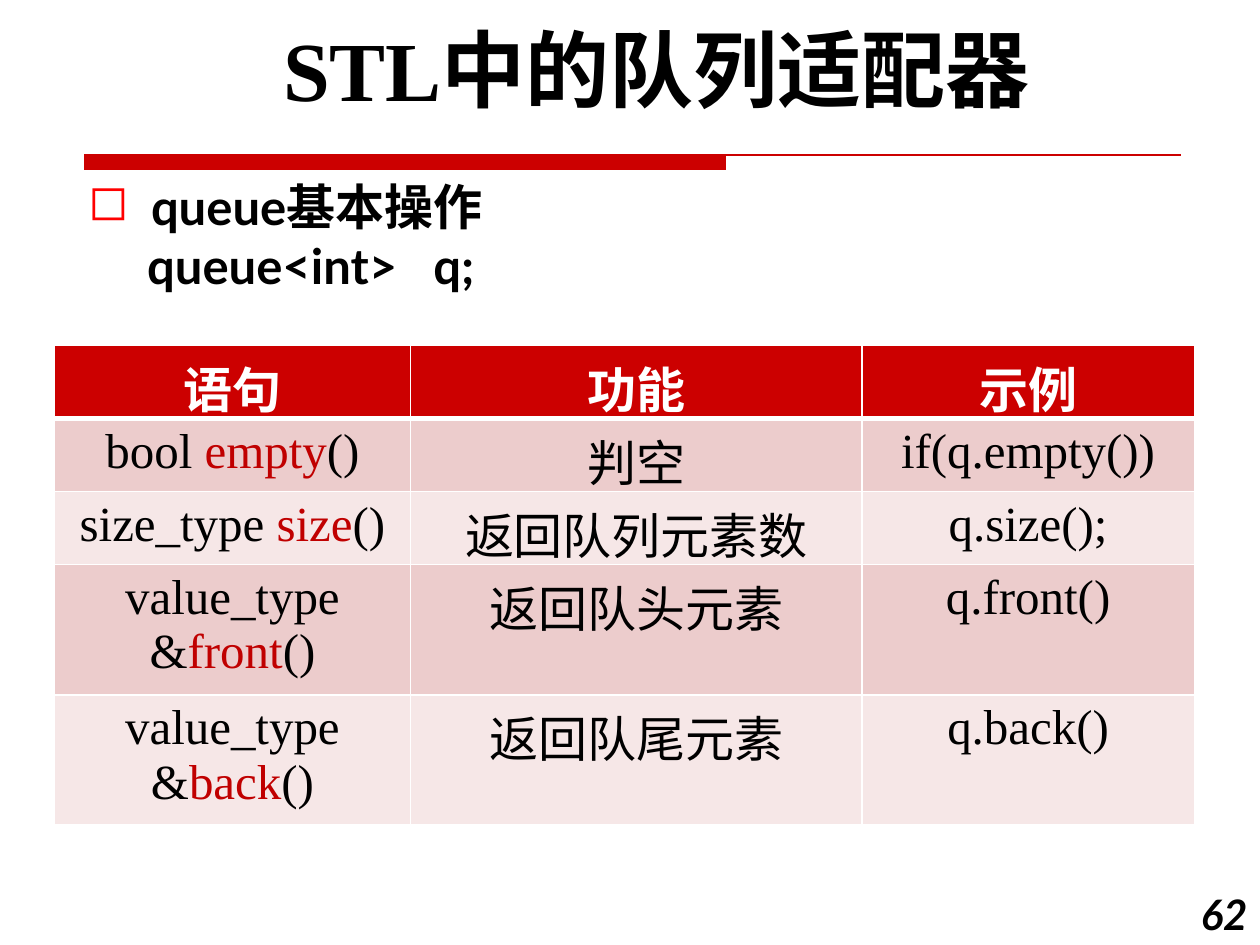
import pptx
import pptx.util
import pptx.dml.color
import pptx.enum.text
import pptx.oxml.ns
import lxml.etree

Inches = pptx.util.Inches
Pt = pptx.util.Pt
ALIGN = pptx.enum.text.PP_ALIGN
ANCHOR = pptx.enum.text.MSO_ANCHOR

COLORS = {"black": "000000", "white": "FFFFFF", "red": "CC0000", "keyword": "C00000",
          "bullet": "FF0000", "odd": "ECCCCC", "even": "F6E7E7"}
TITLE = "STL中的队列适配器"
HEADING = "queue基本操作"
DECLARATION = "queue<int>\tq;"
PAGE_NUMBER = "62"
HEADERS = ["语句", "功能", "示例"]
OPERATIONS = [
    (("bool ", "empty", "()"), "判空", "if(q.empty())"),
    (("size_type ", "size", "()"), "返回队列元素数", "q.size();"),
    (("value_type &", "front", "()"), "返回队头元素", "q.front()"),
    (("value_type &", "back", "()"), "返回队尾元素", "q.back()"),
]
COLUMN_WIDTHS = [2.83, 3.58, 2.64]
ROW_HEIGHTS = [0.58, 0.58, 0.58, 1.03, 1.03]


def rgb(name):
    return pptx.dml.color.RGBColor.from_string(COLORS[name])


def add_element(parent, tag, **attributes):
    element = lxml.etree.SubElement(parent, pptx.oxml.ns.qn(tag))
    for key, value in attributes.items():
        element.set(key, str(value))
    return element


def write_text(paragraph, text, size=28, font="Times New Roman", color="black",
               bold=False, italic=False, align=ALIGN.LEFT):
    paragraph.alignment = align
    parts = (text,) if isinstance(text, str) else text
    for index, part in enumerate(parts):
        run = paragraph.add_run()
        run.text = part
        run.font.size = Pt(size)
        run.font.name = font
        run.font.bold = bold
        run.font.italic = italic
        run.font.color.rgb = rgb("keyword" if index == 1 else color)


def add_text_frame(slide, left, top, width, height, anchor=ANCHOR.TOP):
    box = slide.shapes.add_textbox(Inches(left), Inches(top), Inches(width), Inches(height))
    box.text_frame.word_wrap = True
    box.text_frame.vertical_anchor = anchor
    return box.text_frame


def set_indent(paragraph, margin, indent):
    properties = paragraph._p.get_or_add_pPr()
    properties.set("marL", str(Inches(margin)))
    properties.set("indent", str(Inches(indent)))
    return properties


def add_rule(slide):
    builder = slide.shapes.build_freeform(Inches(0.67), Inches(1.23), scale=1.0)
    corners = [(5.76, 1.23), (5.76, 1.35), (0.67, 1.35)]
    builder.add_line_segments([(Inches(x), Inches(y)) for x, y in corners], close=True)
    bar = builder.convert_to_shape()
    bar.shadow.inherit = False
    bar.fill.solid()
    bar.fill.fore_color.rgb = rgb("red")
    bar.line.fill.background()
    line = slide.shapes.add_connector(1, Inches(0.67), Inches(1.23), Inches(9.37), Inches(1.23))
    line.line.color.rgb = rgb("red")
    line.line.width = Pt(0.75)
    add_element(line._element.spPr, "a:effectLst")


def format_cell(cell, fill, top_width, bottom_width):
    properties = cell._tc.get_or_add_tcPr()
    for side, width in (("L", 1), ("R", 1), ("T", top_width), ("B", bottom_width)):
        border = add_element(properties, f"a:ln{side}", w=Pt(width))
        add_element(add_element(border, "a:solidFill"), "a:srgbClr", val=COLORS["white"])
    cell.fill.solid()
    cell.fill.fore_color.rgb = rgb(fill)


def add_operations_table(slide):
    rows = [HEADERS] + OPERATIONS
    table = slide.shapes.add_table(
        len(rows), len(HEADERS), Inches(0.43), Inches(2.74),
        Inches(sum(COLUMN_WIDTHS)), Inches(sum(ROW_HEIGHTS))).table
    for column, width in zip(table.columns, COLUMN_WIDTHS):
        column.width = Inches(width)
    for row_index, values in enumerate(rows):
        table.rows[row_index].height = Inches(ROW_HEIGHTS[row_index])
        header = row_index == 0
        fill = "red" if header else ("odd" if row_index % 2 else "even")
        for column_index, value in enumerate(values):
            cell = table.cell(row_index, column_index)
            format_cell(cell, fill, 3 if row_index == 1 else 1, 3 if header else 1)
            write_text(cell.text_frame.paragraphs[0], value, bold=header,
                       color="white" if header else "black", align=ALIGN.CENTER)


def main():
    presentation = pptx.Presentation()
    presentation.slide_width = Inches(10)
    presentation.slide_height = Inches(7.5)
    slide = presentation.slides.add_slide(presentation.slide_layouts[6])

    add_rule(slide)
    number = add_text_frame(slide, 9.33, 7, 0.67, 0.5)
    write_text(number.paragraphs[0], PAGE_NUMBER, size=24, font="Lato",
               bold=True, italic=True, align=ALIGN.RIGHT)

    title = add_text_frame(slide, 0.67, 0.17, 9.08, 0.83, ANCHOR.BOTTOM).paragraphs[0]
    title.line_spacing = 0.9
    write_text(title, TITLE, size=48, bold=True, align=ALIGN.CENTER)

    body = add_text_frame(slide, 0.6, 1.35, 9.38, 1.04)
    heading = body.paragraphs[0]
    properties = set_indent(heading, 0.5, -0.5)
    add_element(add_element(properties, "a:buClr"), "a:srgbClr", val=COLORS["bullet"])
    add_element(properties, "a:buChar", char="◻")
    write_text(heading, HEADING, font="Lato", bold=True)
    declaration = body.add_paragraph()
    set_indent(declaration, 2.74, -2.27)
    write_text(declaration, DECLARATION, font="Lato", bold=True)

    add_operations_table(slide)
    presentation.save("out.pptx")


if __name__ == "__main__":
    main()
